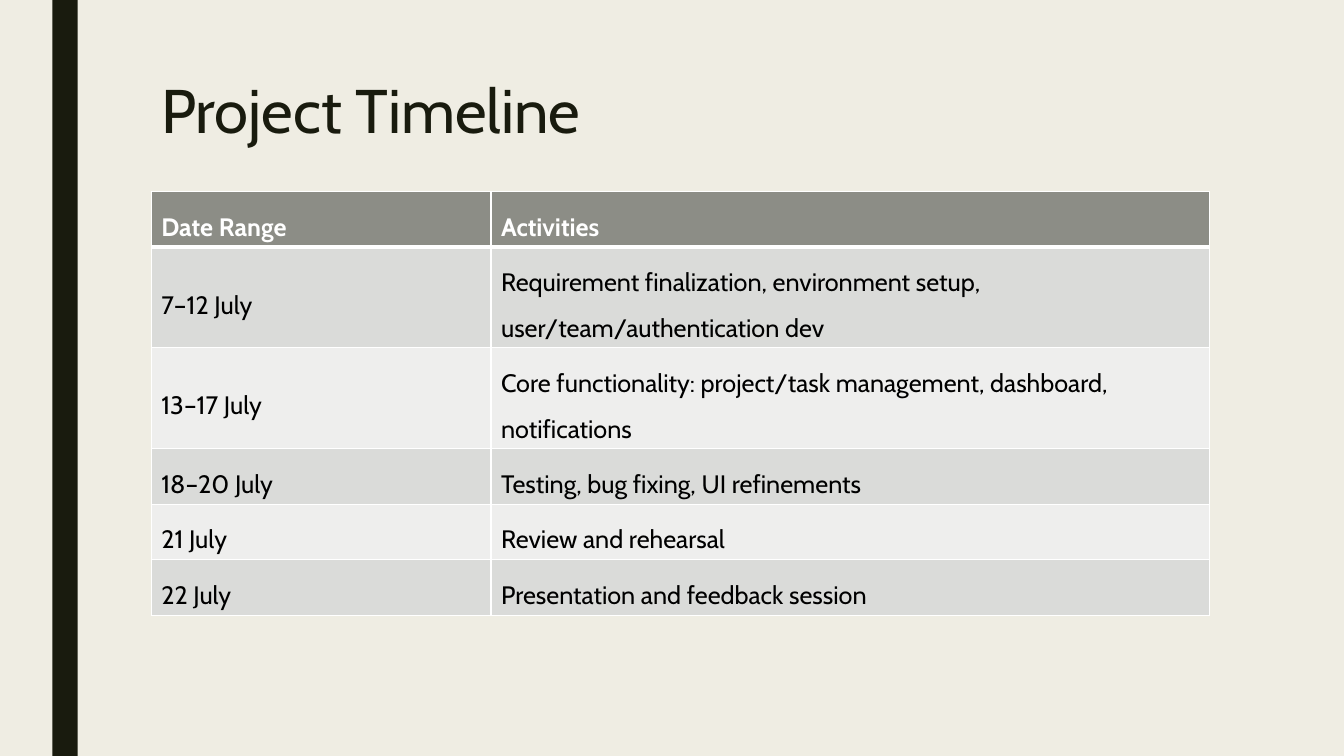
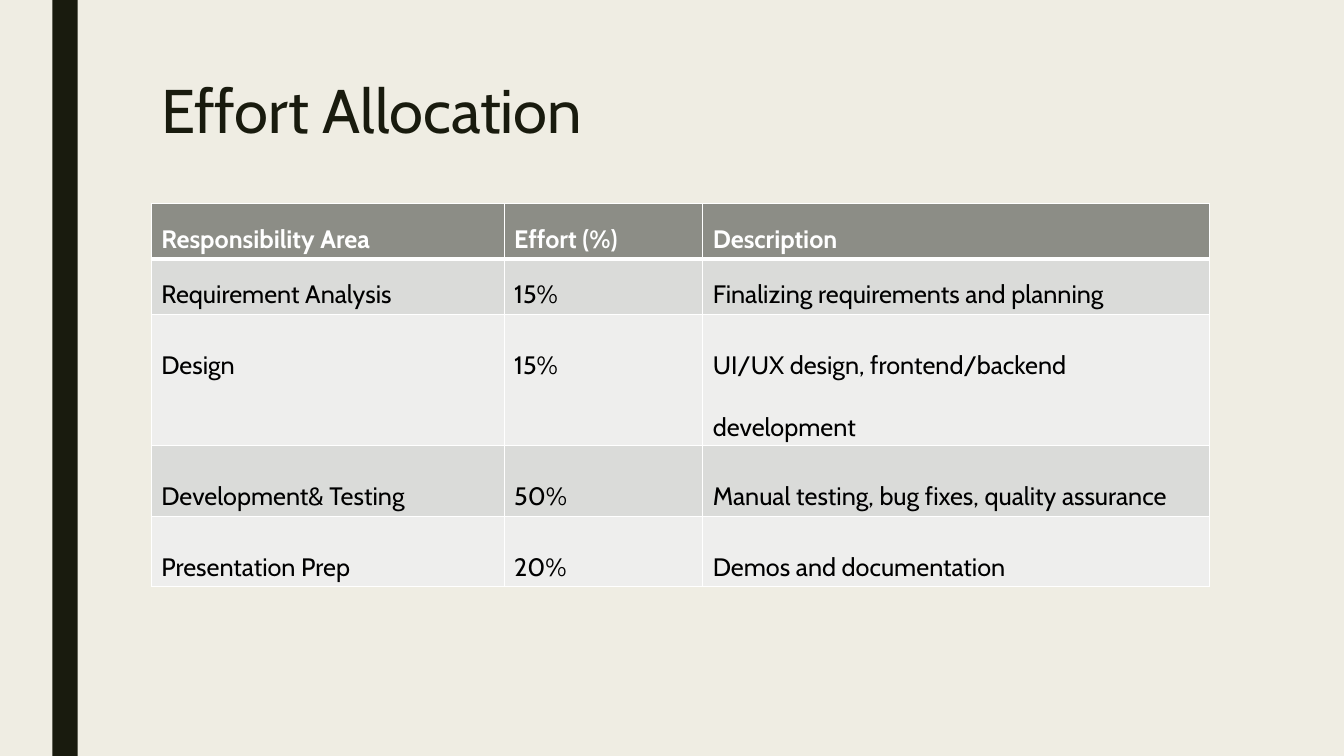
from lxml import etree
from pptx import Presentation
from pptx.dml.color import RGBColor
from pptx.enum.shapes import MSO_SHAPE
from pptx.enum.text import MSO_ANCHOR
from pptx.oxml.ns import qn
from pptx.util import Inches, Pt

RECT = MSO_SHAPE.RECTANGLE
TOP = MSO_ANCHOR.TOP
MIDDLE = MSO_ANCHOR.MIDDLE

FONT = "Cabin"
INK = "191B0E"
PAPER = "EFEDE3"
WHITE = "FFFFFF"
BLACK = "000000"
HEAD = "8C8D86"
BANDS = ("DADBD9", "EEEEED")
LEFT, WIDTH, ROW = 1.5, 10.5, 0.41

PLAN = [
    ("Date Range", "Activities"),
    ("7–12 July", "Requirement finalization, environment setup, user/team/authentication dev"),
    ("13–17 July", "Core functionality: project/task management, dashboard, notifications"),
    ("18–20 July", "Testing, bug fixing, UI refinements"),
    ("21 July", "Review and rehearsal"),
    ("22 July", "Presentation and feedback session"),
]
EFFORT = [
    ("Responsibility Area", "Effort (%)", "Description"),
    ("Requirement Analysis", "15%", "Finalizing requirements and planning"),
    ("Design", "15%", "UI/UX design, frontend/backend development"),
    ("Development& Testing", "50%", "Manual testing, bug fixes, quality assurance"),
    ("Presentation Prep", "20%", "Demos and documentation"),
]


def paint(fill, color):
    """Fill solidly with a hex colour."""
    fill.solid()
    fill.fore_color.rgb = RGBColor.from_string(color)


def write(frame, text, size=18, color=BLACK, bold=False, line=1.5, gap=0, anchor=MIDDLE):
    """Put one formatted paragraph into a text frame."""
    frame.word_wrap = True
    frame.vertical_anchor = anchor
    para = frame.paragraphs[0]
    para.line_spacing = line
    para.space_before = para.space_after = Pt(gap)
    run = para.add_run()
    run.text = text
    run.font.name, run.font.size, run.font.bold = FONT, Pt(size), bold
    paint(run.font.fill, color)


def border(cell, top=1, bottom=1):
    """Draw white borders, given widths in points for top and bottom."""
    props = cell._tc.get_or_add_tcPr()
    for side, width in (("L", 1), ("R", 1), ("T", top), ("B", bottom)):
        line = etree.SubElement(props, qn("a:ln" + side), w=str(Pt(width)))
        fill = etree.SubElement(line, qn("a:solidFill"))
        etree.SubElement(fill, qn("a:srgbClr"), val=WHITE)


def base(deck, title):
    """Add a slide with the side bar and its title."""
    slide = deck.slides.add_slide(deck.slide_layouts[6])
    bar = slide.shapes.add_shape(RECT, Inches(0.52), 0, Inches(0.25), deck.slide_height)
    bar.shadow.inherit = False
    paint(bar.fill, INK)
    bar.line.fill.background()
    box = slide.shapes.add_textbox(Inches(LEFT), Inches(0.75), Inches(WIDTH), Inches(1.05))
    write(box.text_frame, title, size=44, color=INK, line=0.89, anchor=TOP)
    return slide


def grid(slide, top, cols, rows, gap=0, loose=None):
    """Add a banded table; rows from index loose on have double spacing."""
    frame = slide.shapes.add_table(len(rows), len(cols), Inches(LEFT), Inches(top),
                                   Inches(WIDTH), Inches(ROW * len(rows)))
    table = frame.table
    for col, width in zip(table.columns, cols):
        col.width = Inches(width)
    for i, row in enumerate(rows):
        table.rows[i].height = Inches(ROW)
        if i == 0:
            style = dict(color=WHITE, bold=True)
        elif loose and i >= loose:
            style = dict(line=2.0, gap=gap, anchor=TOP)
        else:
            style = dict(gap=gap)
        anchor = style.pop("anchor", MIDDLE)
        for j, text in enumerate(row):
            cell = table.cell(i, j)
            border(cell, top=3 if i == 1 else 1, bottom=3 if i == 0 else 1)
            paint(cell.fill, BANDS[(i - 1) % 2] if i else HEAD)
            write(cell.text_frame, text, **style)
            cell.vertical_anchor = anchor


def main():
    """Build and save the deck."""
    deck = Presentation()
    deck.slide_width, deck.slide_height = Inches(13.33), Inches(7.5)
    paint(deck.slide_master.background.fill, PAPER)
    grid(base(deck, "Project Timeline"), 1.9, (3.37, 7.13), PLAN)
    grid(base(deck, "Effort Allocation"), 2.02, (3.5, 1.97, 5.03), EFFORT, gap=6, loose=2)
    deck.save("out.pptx")


if __name__ == "__main__":
    main()
